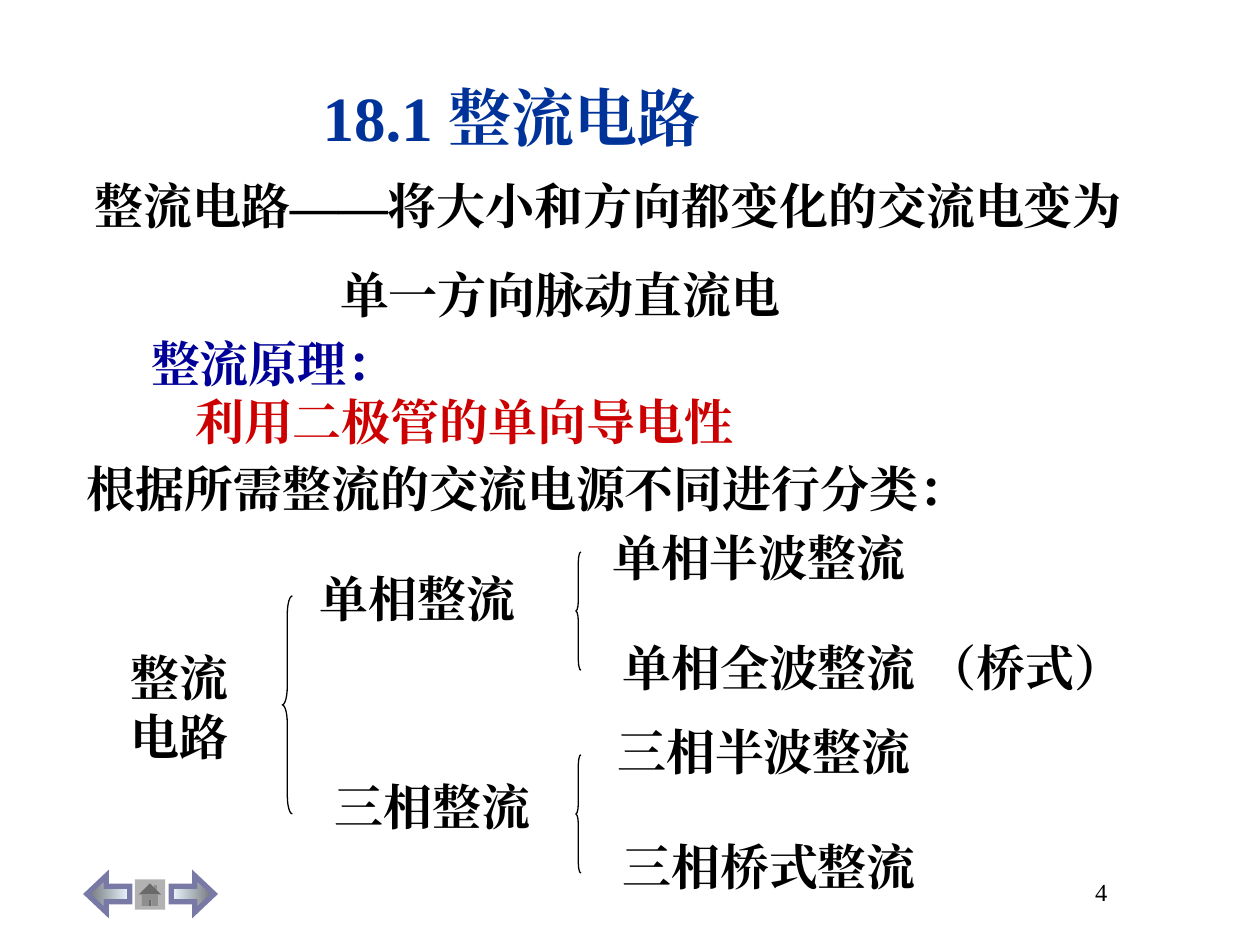
from lxml import etree
from pptx import Presentation
from pptx.dml.color import RGBColor
from pptx.enum.shapes import MSO_SHAPE as Shape
from pptx.enum.text import MSO_ANCHOR as Anchor, MSO_AUTO_SIZE as AutoSize, PP_ALIGN as Align
from pptx.oxml.ns import qn
from pptx.util import Inches, Pt

BLACK = RGBColor(0x00, 0x00, 0x00)
TITLE_BLUE = RGBColor(0x00, 0x33, 0x99)
HEADING_BLUE = RGBColor(0x00, 0x00, 0x99)
RED = RGBColor(0xCC, 0x00, 0x00)
ARROW_EDGE = RGBColor(0x79, 0x79, 0xA5)
ARROW_LIGHT = RGBColor(0xEB, 0xF7, 0xFF)
ARROW_DARK = RGBColor(0x6D, 0x72, 0x76)
BUTTON_GREY = RGBColor(0xB2, 0xB2, 0xB2)
SERIF = "Times New Roman"
SANS = "Noto Sans CJK SC"


def write(paragraph, text, size=28, color=BLACK, bold=True, font=SERIF,
          align=Align.LEFT, before=0, indent=0, tab=None):
    """Fill one paragraph with a single formatted run."""
    properties = paragraph._p.get_or_add_pPr()
    properties.set("marL", str(Inches(indent)))
    properties.set("indent", "0")
    if tab:
        tabs = etree.SubElement(properties, qn("a:tabLst"))
        etree.SubElement(tabs, qn("a:tab"), pos=str(Inches(tab)), algn="l")
    paragraph.alignment = align
    paragraph.space_before = Pt(before)
    run = paragraph.add_run()
    run.text = text
    run.font.name = font
    run.font.size = Pt(size)
    run.font.bold = bold
    run.font.color.rgb = color
    etree.SubElement(run._r.get_or_add_rPr(), qn("a:ea"), typeface=SERIF)


class LectureSlide:
    """Holds the current slide and draws its kinds of element."""

    def __init__(self, slide):
        self.slide = slide

    def title(self, text, left, top, width, height, **style):
        title = self.slide.shapes.title
        title.left, title.top = Inches(left), Inches(top)
        title.width, title.height = Inches(width), Inches(height)
        frame = title.text_frame
        frame.auto_size = AutoSize.NONE
        frame.vertical_anchor = Anchor.MIDDLE
        write(frame.paragraphs[0], text, **style)

    def text(self, lines, left, top, width, height, anchor=Anchor.TOP):
        """Each line is a pair of its words and their format."""
        box = self.slide.shapes.add_textbox(
            Inches(left), Inches(top), Inches(width), Inches(height))
        frame = box.text_frame
        frame.word_wrap = True
        frame.vertical_anchor = anchor
        for number, (words, style) in enumerate(lines):
            paragraph = frame.add_paragraph() if number else frame.paragraphs[0]
            write(paragraph, words, **style)

    def shape(self, kind, left, top, width, height, adjustments=()):
        shape = self.slide.shapes.add_shape(
            kind, Inches(left), Inches(top), Inches(width), Inches(height))
        shape.shadow.inherit = False
        for number, value in enumerate(adjustments):
            shape.adjustments[number] = value
        return shape

    def brace(self, left, top, width, height, curve):
        brace = self.shape(Shape.LEFT_BRACE, left, top, width, height, [curve])
        brace.fill.background()
        brace.line.color.rgb = BLACK
        brace.line.width = Pt(0.75)

    def arrow(self, left, rotation):
        arrow = self.shape(Shape.RIGHT_ARROW, left, 6.95, 0.34, 0.29, [0.42, 0.53])
        arrow.rotation = rotation
        arrow.fill.gradient()
        arrow.fill.gradient_angle = 0
        for stop, color in zip(arrow.fill.gradient_stops, (ARROW_LIGHT, ARROW_DARK)):
            stop.color.rgb = color
        arrow.line.color.rgb = ARROW_EDGE
        arrow.line.width = Pt(3)
        edge = arrow._element.spPr.find(qn("a:ln"))
        etree.SubElement(edge, qn("a:miter"), lim="800000")

    def home_button(self):
        button = self.shape(Shape.ACTION_BUTTON_HOME, 1.07, 6.98, 0.24, 0.24)
        button.fill.solid()
        button.fill.fore_color.rgb = BUTTON_GREY
        button.line.fill.background()


def main():
    deck = Presentation()
    deck.slide_width, deck.slide_height = Inches(10), Inches(7.5)
    lecture = LectureSlide(deck.slides.add_slide(deck.slide_layouts[5]))

    # Title and page number
    lecture.title("18.1\t整流电路", 2.46, 0.41, 5.98, 1.02,
                  size=36, color=TITLE_BLUE, tab=1.37)
    lecture.text([("4", dict(size=14, bold=False, align=Align.CENTER))],
                 7.7, 6.91, 2.08, 0.33, anchor=Anchor.MIDDLE)

    # Navigation buttons
    lecture.arrow(1.36, 0)
    lecture.arrow(0.69, 180)
    lecture.home_button()

    # Definition and principle
    lecture.text([("整流电路——将大小和方向都变化的交流电变为", {}),
                  ("单一方向脉动直流电", dict(before=17.5, indent=1.95))],
                 0.65, 1.34, 8.58, 1.28)
    lecture.text([("整流原理：", dict(color=HEADING_BLUE, font=SANS)),
                  ("利用二极管的单向导电性", dict(color=RED, indent=0.35))],
                 1.1, 2.59, 4.82, 1.04, anchor=Anchor.MIDDLE)

    # Classification tree
    for words, left, top, width, height in (
            ("根据所需整流的交流电源不同进行分类：", 0.59, 3.59, 8.35, 0.57),
            ("整流电路", 0.94, 5.09, 1.06, 1.04),
            ("单相整流", 2.44, 4.46, 1.89, 0.57),
            ("三相整流", 2.56, 6.11, 1.93, 0.57),
            ("单相半波整流", 4.76, 4.14, 2.72, 0.57),
            ("单相全波整流 （桥式）", 4.84, 5.01, 4.49, 0.57),
            ("三相半波整流", 4.8, 5.68, 3.82, 0.57),
            ("三相桥式整流", 4.84, 6.59, 3.31, 0.57)):
        lecture.text([(words, {})], left, top, width, height)

    # Braces
    lecture.brace(2.24, 4.73, 0.08, 1.73, curve=1.8)
    for top in (4.38, 5.99):
        lecture.brace(4.57, top, 0.04, 0.94, curve=2)

    deck.save("out.pptx")


if __name__ == "__main__":
    main()
